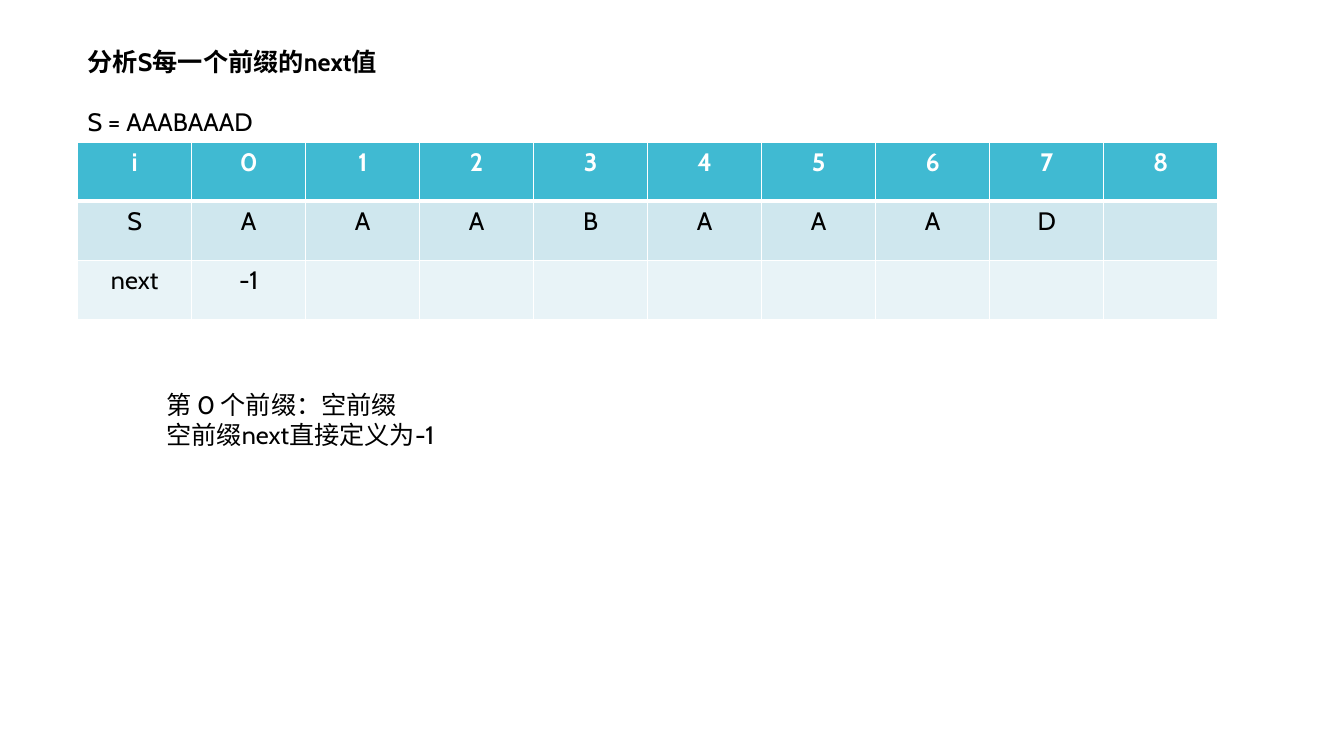
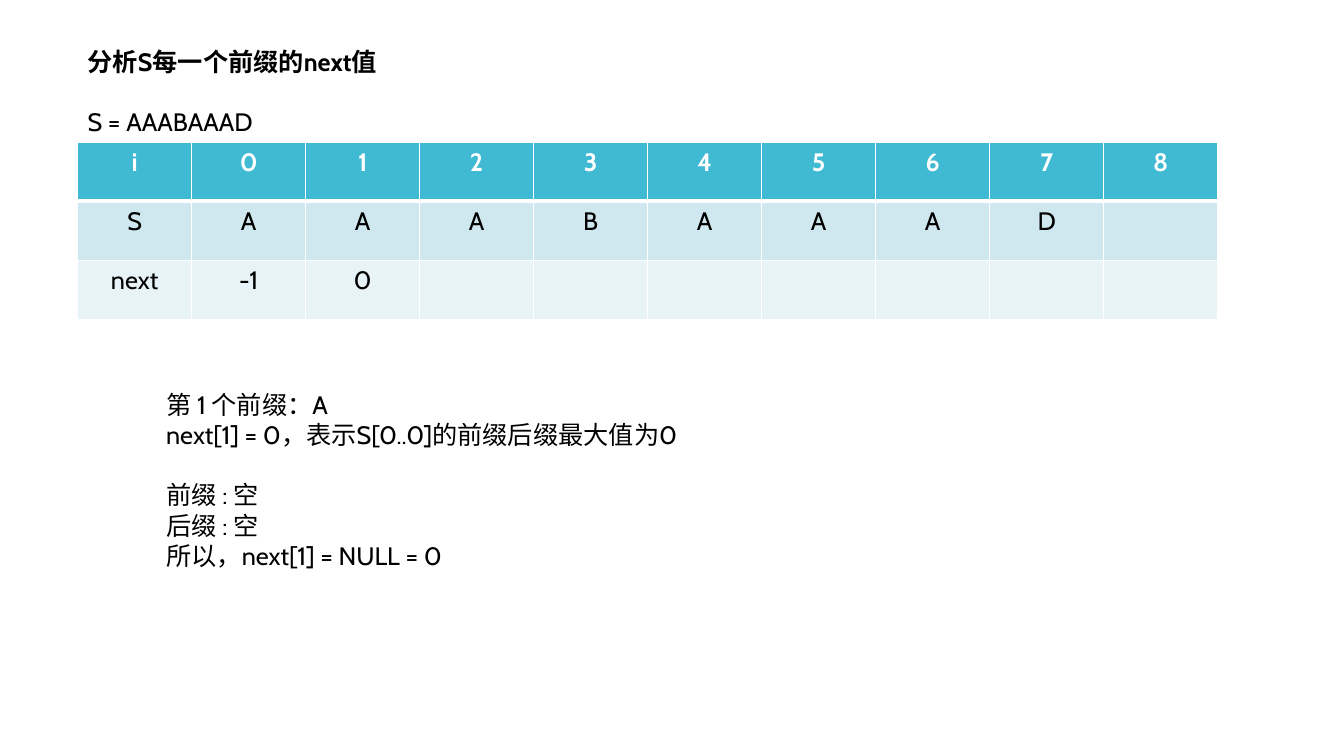
from dataclasses import dataclass

from lxml import etree
from pptx import Presentation
from pptx.dml.color import RGBColor
from pptx.enum.text import MSO_AUTO_SIZE, PP_ALIGN
from pptx.oxml.ns import qn
from pptx.util import Emu, Inches, Pt

GROW = MSO_AUTO_SIZE.SHAPE_TO_FIT_TEXT
LEFT, MID = PP_ALIGN.LEFT, PP_ALIGN.CENTER

FACE, SIZE, GAP = "Cabin", 18, 21.6
BLACK, WHITE = "000000", "FFFFFF"
FILLS = ("40BAD2", "CFE7EE", "E8F3F7")
THIN, THICK = 1, 3

WORD = "AAABAAAD"
COLS, ROWS = len(WORD) + 2, len(FILLS)
X, Y = Inches(0.77), Inches(1.41)
WIDE, HIGH = Inches(11.31), Inches(1.76)


@dataclass(frozen=True)
class Line:
    text: str
    bold: bool = False
    gap: float = 0


@dataclass(frozen=True)
class Box:
    left: float
    top: float
    width: float
    height: float
    lines: tuple[Line, ...]


@dataclass(frozen=True)
class Step:
    values: tuple[str, ...]
    note: Box


HEAD = Box(0.77, 0.41, 4.39, 1.01, (
    Line("分析S每一个前缀的next值", bold=True),
    Line(f"S = {WORD}", gap=GAP),
))

STEPS = (
    Step(("-1",), Box(1.55, 3.81, 5.09, 0.71, (
        Line("第 0 个前缀：空前缀"),
        Line("空前缀next直接定义为-1"),
    ))),
    Step(("-1", "0"), Box(1.55, 3.81, 6.12, 1.92, (
        Line("第 1 个前缀：A"),
        Line("next[1] = 0，表示S[0..0]的前缀后缀最大值为0"),
        Line("前缀 : 空", gap=GAP),
        Line("后缀 : 空"),
        Line("所以，next[1] = NULL = 0"),
    ))),
)


def paint(code: str) -> RGBColor:
    return RGBColor.from_string(code)


def style(para, color: str, bold: bool, align) -> None:
    para.alignment = align
    font = para.font
    font.name, font.size, font.bold = FACE, Pt(SIZE), bold
    font.color.rgb = paint(color)


def write(slide, box: Box) -> None:
    area = map(Inches, (box.left, box.top, box.width, box.height))
    frame = slide.shapes.add_textbox(*area).text_frame
    frame.word_wrap = True
    frame.auto_size = GROW
    for i, line in enumerate(box.lines):
        para = frame.add_paragraph() if i else frame.paragraphs[0]
        para.text = line.text
        para.space_before = Pt(line.gap)
        style(para, BLACK, line.bold, LEFT)


def edge(cell, row: int) -> None:
    props = cell._tc.get_or_add_tcPr()
    sides = {
        "lnL": THIN,
        "lnR": THIN,
        "lnT": THICK if row == 1 else THIN,
        "lnB": THICK if row == 0 else THIN,
    }
    for tag, width in sides.items():
        line = etree.SubElement(props, qn(f"a:{tag}"), w=str(Pt(width)))
        fill = etree.SubElement(line, qn("a:solidFill"))
        etree.SubElement(fill, qn("a:srgbClr"), val=WHITE)


def draw_grid(slide, values: tuple[str, ...]) -> None:
    table = slide.shapes.add_table(ROWS, COLS, X, Y, WIDE, HIGH).table
    table.first_row = table.horz_banding = False
    for col in table.columns:
        col.width = Emu(WIDE // COLS)
    data = (
        ("i", *map(str, range(COLS - 1))),
        ("S", *WORD),
        ("next", *values),
    )
    for r, (texts, tint) in enumerate(zip(data, FILLS)):
        table.rows[r].height = Emu(HIGH // ROWS)
        for c in range(COLS):
            cell = table.cell(r, c)
            edge(cell, r)
            cell.fill.solid()
            cell.fill.fore_color.rgb = paint(tint)
            if c < len(texts):
                cell.text = texts[c]
            para = cell.text_frame.paragraphs[0]
            style(para, BLACK if r else WHITE, r == 0, MID)


def main() -> None:
    deck = Presentation()
    deck.slide_width, deck.slide_height = Inches(13.33), Inches(7.5)
    blank = deck.slide_layouts[6]
    for step in STEPS:
        slide = deck.slides.add_slide(blank)
        draw_grid(slide, step.values)
        write(slide, HEAD)
        write(slide, step.note)
    deck.save("out.pptx")


if __name__ == "__main__":
    main()
